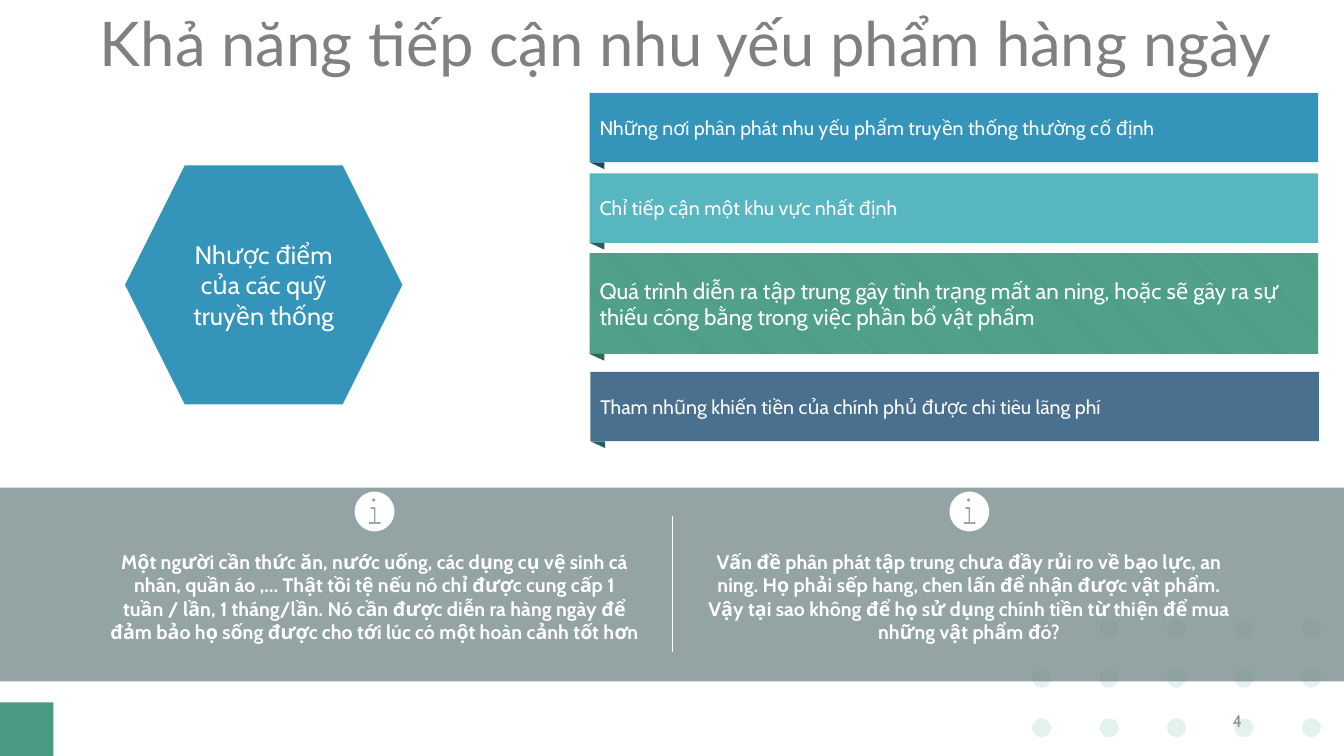
import math

from lxml import etree
from pptx import Presentation
from pptx import util as u
from pptx.dml.color import RGBColor
from pptx.enum import dml, shapes, text
from pptx.oxml.ns import qn

Cm = u.Cm
COLORS = {
    "white": "FFFFFF", "dot": "E3F2ED", "green": "4A9B83", "mint": "75BDA7",
    "blue": "3494BA", "teal": "58B6C0", "navy": "4A7090", "band": "7A8C8E",
    "title": "808080", "page": "8C8C8C",
    "blue fold": "1A4A5D", "teal fold": "266066", "green fold": "316857",
}
RGB = {name: RGBColor.from_string(value) for name, value in COLORS.items()}
KIND = shapes.MSO_SHAPE
ALIGN = text.PP_ALIGN

deck = Presentation()
deck.slide_width, deck.slide_height = Cm(33.87), Cm(19.05)
slide = deck.slides.add_slide(deck.slide_layouts[6])


def add_plain(kind, left, top, width, height, color):
    """Add a preset shape with a solid fill, no outline and no shadow."""
    shape = slide.shapes.add_shape(kind, Cm(left), Cm(top), Cm(width), Cm(height))
    shape.shadow.inherit = False
    shape.fill.solid()
    shape.fill.fore_color.rgb = RGB[color]
    shape.line.fill.background()
    return shape


def write(shape, words, size, align=ALIGN.LEFT, anchor=text.MSO_ANCHOR.MIDDLE,
          color="white", font="Cabin", bold=False):
    frame = shape.text_frame
    frame.word_wrap = True
    frame.vertical_anchor = anchor
    paragraph = frame.paragraphs[0]
    paragraph.alignment = align
    run = paragraph.add_run()
    run.text = words
    run.font.size = u.Pt(size)
    run.font.name = font
    run.font.bold = bold
    run.font.color.rgb = RGB[color]
    return frame


# Corner decoration and page number
for row in range(3):
    for column in range(5):
        add_plain(KIND.OVAL, 26.01 + 1.7 * column, 15.6 + 1.25 * row, 0.48, 0.48, "dot")
add_plain(KIND.RECTANGLE, 0, 17.7, 1.35, 1.35, "green")
page_number = slide.shapes.add_textbox(Cm(23.93), Cm(17.65), Cm(7.62), Cm(1.02))
write(page_number, "4", 12, ALIGN.RIGHT, color="page")

# Drawbacks, each a ribbon with a folded corner
drawbacks = [
    ("Những nơi phân phát nhu yếu phẩm truyền thống thường cố định",
     14.86, 2.34, 1.75, 14, "blue", "blue fold"),
    ("Chỉ tiếp cận một khu vực nhất định",
     14.86, 4.37, 1.75, 14, "teal", "teal fold"),
    ("Quá trình diễn ra tập trung gây tình trạng mất an ning, hoặc sẽ gây ra sự "
     "thiếu công bằng trong việc phần bổ vật phẩm",
     14.86, 6.38, 2.54, 16, "green", "green fold"),
    ("Tham nhũng khiến tiền của chính phủ được chi tiêu lãng phí",
     14.88, 9.37, 1.75, 14, "navy", "teal fold"),
]
for words, left, top, height, size, color, fold_color in drawbacks:
    ribbon = add_plain(KIND.RECTANGLE, left, top, 18.36, height, color)
    frame = write(ribbon, words, size)
    if color == "green":
        ribbon.fill.patterned()
        ribbon.fill.pattern = dml.MSO_PATTERN.LIGHT_DOWNWARD_DIAGONAL
        ribbon.fill.fore_color.rgb = RGB["mint"]
        ribbon.fill.back_color.rgb = RGB["green"]
    else:
        frame.margin_right = Cm(1.27)
    fold = add_plain(KIND.RIGHT_TRIANGLE, left, top + height, 0.37, 0.17, fold_color)
    fold.rotation = 180

# Translucent band
band = add_plain(KIND.RECTANGLE, 0, 12.29, 33.87, 4.88, "band")
band_color = band.fill._xPr.find(qn("a:solidFill"))[0]
etree.SubElement(band_color, qn("a:alpha"), val="80000")

# Remarks with an info icon: disc, letter stem and letter dot as one outline
turns = [math.radians(6 * step) for step in range(60)]
disc = [(0.5 * math.cos(turn), 0.5 * math.sin(turn)) for turn in turns]
letter_dot = [(0.04 * math.cos(turn) - 0.02, 0.04 * math.sin(turn) - 0.29) for turn in turns]
letter_stem = [(-0.14, 0.32), (0.15, 0.32), (0.15, 0.27), (0.02, 0.27), (0.02, -0.11),
               (-0.1, -0.11), (-0.1, -0.06), (-0.02, -0.06), (-0.02, 0.27), (-0.14, 0.27)]
remarks = [
    ("Một người cần thức ăn, nước uống, các dụng cụ vệ sinh cá nhân, quần áo ,… "
     "Thật tồi tệ nếu nó chỉ được cung cấp 1 tuần / lần, 1 tháng/lần. Nó cần được "
     "diễn ra hàng ngày để đảm bảo họ sống được cho tới lúc có một hoàn cảnh tốt hơn",
     2.44, 3.25, 9.44),
    ("Vấn đề phân phát tập trung chưa đầy rủi ro về bạo lực, an ning. Họ phải sếp "
     "hang, chen lấn để nhận được vật phẩm. Vậy tại sao không để họ sử dụng chính "
     "tiền từ thiện để mua những vật phẩm đó?",
     17.42, 2.64, 24.43),
]
for words, left, height, icon_x in remarks:
    remark = slide.shapes.add_textbox(Cm(left), Cm(13.72), Cm(14), Cm(height))
    frame = write(remark, words, 14, ALIGN.CENTER, text.MSO_ANCHOR.TOP, bold=True)
    frame.auto_size = text.MSO_AUTO_SIZE.SHAPE_TO_FIT_TEXT

    contours = [[(Cm(icon_x + x), Cm(12.89 + y)) for x, y in contour]
                for contour in (disc, letter_stem, letter_dot)]
    outline = slide.shapes.build_freeform(*contours[0][0])
    outline.add_line_segments(contours[0][1:], close=True)
    for contour in contours[1:]:
        outline.move_to(*contour[0])
        outline.add_line_segments(contour[1:], close=True)
    icon = outline.convert_to_shape()
    icon.shadow.inherit = False
    icon.fill.solid()
    icon.fill.fore_color.rgb = RGB["white"]
    icon.line.fill.background()

divider = slide.shapes.add_connector(
    shapes.MSO_CONNECTOR.STRAIGHT, Cm(16.94), Cm(13), Cm(16.94), Cm(16.43))
divider.line.color.rgb = RGB["white"]
divider.line.width = u.Pt(0.5)
etree.SubElement(divider._element.spPr, qn("a:effectLst"))

# Title and topic
title = slide.shapes.add_textbox(Cm(1.7), Cm(0.33), Cm(31.19), Cm(1.7))
frame = write(title, "Khả năng tiếp cận nhu yếu phẩm hàng ngày", 44, ALIGN.CENTER,
              text.MSO_ANCHOR.TOP, "title", "Lato")
frame.margin_left = frame.margin_right = frame.margin_top = frame.margin_bottom = 0
frame.auto_size = text.MSO_AUTO_SIZE.SHAPE_TO_FIT_TEXT
frame.paragraphs[0].line_spacing = 0.9

topic = add_plain(KIND.HEXAGON, 3.15, 4.17, 6.99, 6.02, "blue")
write(topic, "Nhược điểm của các quỹ truyền thống", 18, ALIGN.CENTER)

deck.save("out.pptx")
